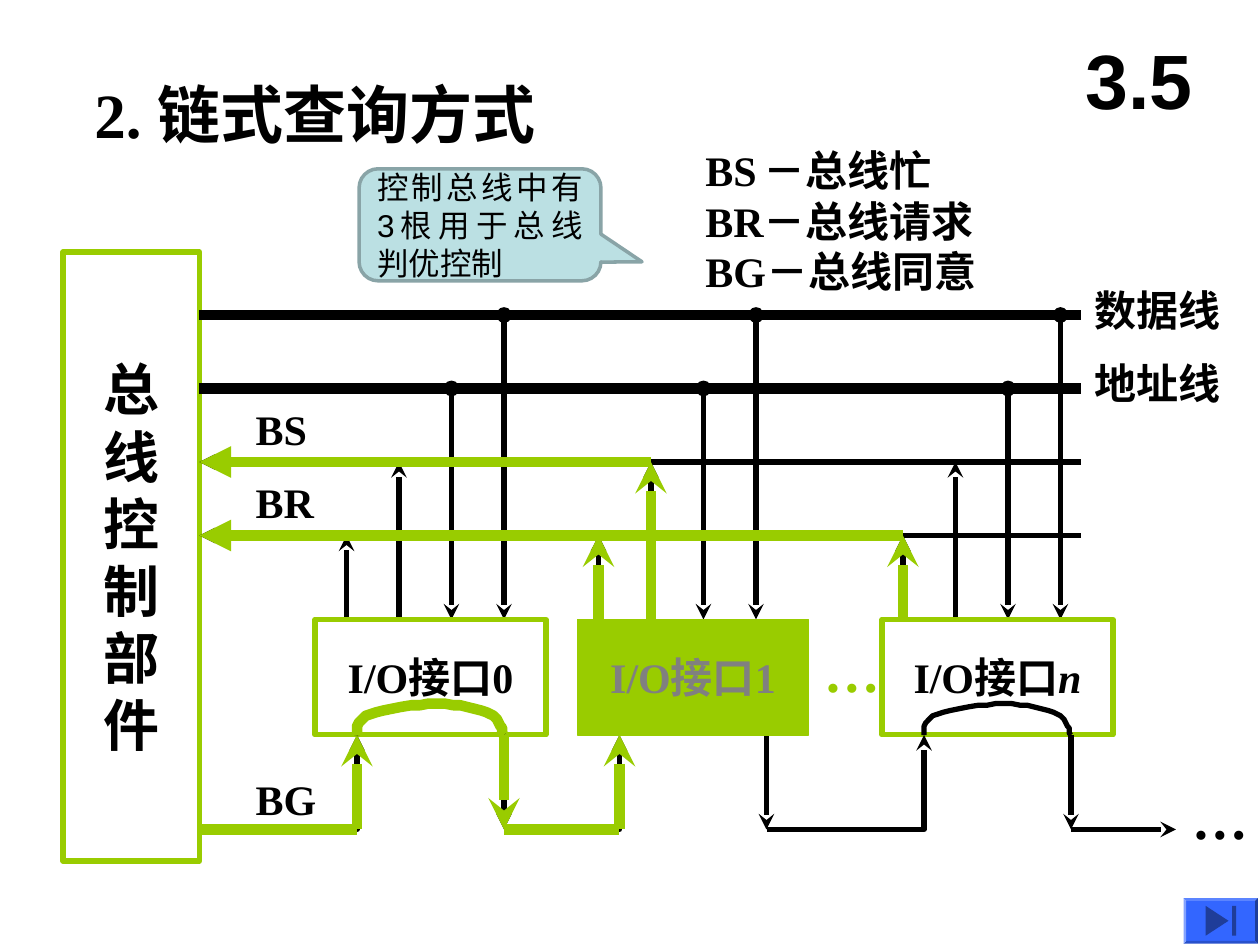
"""Build a slide that explains chained-query bus arbitration."""
import pptx
import pptx.dml.color
import pptx.enum.dml
import pptx.enum.shapes
import pptx.enum.text
import pptx.oxml
import pptx.oxml.ns
import pptx.util

Pt = pptx.util.Pt
RGBColor = pptx.dml.color.RGBColor
SHAPES = pptx.enum.shapes.MSO_SHAPE
ALIGN = pptx.enum.text.PP_ALIGN
ANCHOR = pptx.enum.text.MSO_ANCHOR

BLACK = RGBColor(0x00, 0x00, 0x00)
GREEN = RGBColor(0x99, 0xCC, 0x00)
GRAY = RGBColor(0x80, 0x80, 0x80)
CALLOUT_FILL = RGBColor(0xBB, 0xE0, 0xE3)
CALLOUT_LINE = RGBColor(0x89, 0xA4, 0xA7)
BUTTON_BLUE = RGBColor(0x33, 0x66, 0xFF)
BUTTON_DARK = RGBColor(0x1F, 0x3D, 0x99)

SERIF_BOLD = {"name": "Times New Roman", "bold": True}
BUS_LEFT, BUS_RIGHT = 114, 618
DATA_Y, ADDRESS_Y, BUSY_Y, REQUEST_Y = 180, 222, 264, 306
BOX_TOP, BOX_WIDTH, BOX_HEIGHT = 354, 132, 66
BOX_BOTTOM = BOX_TOP + BOX_HEIGHT
GRANT_Y = 474
BOX_LEFTS = (180, 330, 504)
SIGNAL_STARTS = (198, 342, 516)
SIGNAL_STEP = 30
GRANT_IN, GRANT_OUT = 24, 108
ARC_CURVES = (
    ((0, 18), (0, 13.5), (0, 9), (7.5, 6)),
    ((7.5, 6), (15.5, 3), (34.5, 0), (46, 0)),
    ((46, 0), (57.5, 0), (70.5, 3), (76.5, 6)),
    ((76.5, 6), (82.5, 9), (82.5, 16.5), (84, 18)),
)


def set_attributes(target, values):
    """Set every attribute named in a dict of format values."""
    for name, value in values.items():
        setattr(target, name, value)


def write_text(shape, paragraphs, size, color=BLACK, font=SERIF_BOLD, align=ALIGN.LEFT,
               anchor=ANCHOR.TOP, wrap=False):
    """Fill a shape with paragraphs, each a list of (text, overrides) runs."""
    frame = shape.text_frame
    set_attributes(frame, {
        "word_wrap": wrap, "vertical_anchor": anchor,
        "margin_left": Pt(7.2), "margin_right": Pt(7.2),
        "margin_top": Pt(3.6), "margin_bottom": Pt(3.6)})
    for index, runs in enumerate(paragraphs):
        paragraph = frame.add_paragraph() if index else frame.paragraphs[0]
        paragraph.alignment = align
        for text, overrides in runs:
            run = paragraph.add_run()
            run.text = text
            set_attributes(run.font, {"size": Pt(size), **font, **overrides})
            run.font.color.rgb = color


def add_label(slide, box, lines, size, **options):
    """Add a text box with one paragraph per line."""
    shape = slide.shapes.add_textbox(*map(Pt, box))
    paragraphs = [[(line, {})] if isinstance(line, str) else line for line in lines]
    write_text(shape, paragraphs, size, **options)


def add_block(slide, kind, box, fill=None, line=None, width=3):
    """Add a preset shape with the given fill and outline."""
    shape = slide.shapes.add_shape(kind, *map(Pt, box))
    paint(shape, fill, line, width)
    return shape


def paint(shape, fill, line, width):
    """Set the fill and outline of a shape and drop its shadow."""
    shape.shadow.inherit = False
    for target, color in ((shape.fill, fill), (shape.line.fill, line)):
        if color is None:
            target.background()
        else:
            target.solid()
            target.fore_color.rgb = color
    if line is not None:
        shape.line.width = Pt(width)


def add_line_ends(shape, head, tail):
    """Put line ends on the start and the finish of a line."""
    line = shape.line._get_or_add_ln()
    for tag, kind in (("a:headEnd", head), ("a:tailEnd", tail)):
        if kind:
            pptx.oxml.ns.qn(tag)
            end = pptx.oxml.parse_xml(
                f'<{tag} {pptx.oxml.ns.nsdecls("a")} type="{kind}"/>')
            line.append(end)


def add_wire(slide, start, finish, color=BLACK, width=3, head=None, tail=None):
    """Add a straight signal line between two points."""
    wire = slide.shapes.add_connector(
        pptx.enum.shapes.MSO_CONNECTOR.STRAIGHT, *map(Pt, (*start, *finish)))
    wire.line.color.rgb = color
    wire.line.width = Pt(width)
    add_line_ends(wire, head, tail)
    wire._element.spPr.append(
        pptx.oxml.parse_xml(f'<a:effectLst {pptx.oxml.ns.nsdecls("a")}/>'))


def add_route(slide, points, color=BLACK, width=3, tail=None):
    """Add an open outline through the points."""
    builder = slide.shapes.build_freeform(*points[0], scale=Pt(1))
    builder.add_line_segments(points[1:], close=False)
    route = builder.convert_to_shape()
    paint(route, None, color, width)
    add_line_ends(route, None, tail)


def curve_point(curve, t):
    """Return the point of a cubic curve at parameter t."""
    weights = ((1 - t) ** 3, 3 * t * (1 - t) ** 2, 3 * t ** 2 * (1 - t), t ** 3)
    return tuple(sum(w * p[axis] for w, p in zip(weights, curve)) for axis in (0, 1))


def add_arc(slide, left, color=BLACK, width=3):
    """Add the grant pass-through arc at the bottom of an interface."""
    points = [ARC_CURVES[0][0]]
    points += [curve_point(curve, step / 8) for curve in ARC_CURVES for step in range(1, 9)]
    add_route(slide, [(left + x, BOX_BOTTOM - 18 + y) for x, y in points], color, width)


def add_interface(slide, left, runs, fill=None, color=BLACK, width=3):
    """Add an input/output interface box."""
    box = add_block(slide, SHAPES.RECTANGLE, (left, BOX_TOP, BOX_WIDTH, BOX_HEIGHT),
                    fill, GREEN, width)
    write_text(box, [runs], 24, color, align=ALIGN.CENTER, anchor=ANCHOR.MIDDLE)


def add_buses(slide):
    """Add the four horizontal bus lines and their interface signals."""
    for y, width, head in ((DATA_Y, 6, None), (ADDRESS_Y, 6, None),
                           (BUSY_Y, 3, "stealth"), (REQUEST_Y, 3, "stealth")):
        add_wire(slide, (BUS_LEFT, y), (BUS_RIGHT, y), width=width, head=head)
    for start in SIGNAL_STARTS:
        for index, y in enumerate((REQUEST_Y, BUSY_Y, ADDRESS_Y, DATA_Y)):
            x = start + index * SIGNAL_STEP
            if y in (REQUEST_Y, BUSY_Y):
                add_wire(slide, (x, BOX_TOP), (x, y), tail="stealth")
            else:
                add_wire(slide, (x, y), (x, BOX_TOP), head="oval", tail="stealth")


def add_grant_chain(slide):
    """Add the black grant chain through the interfaces."""
    sources = [BUS_LEFT] + [left + GRANT_OUT for left in BOX_LEFTS]
    for source, left in zip(sources, BOX_LEFTS):
        target = left + GRANT_IN
        add_route(slide, [(source, GRANT_Y), (target, GRANT_Y), (target, BOX_BOTTOM)],
                  tail="stealth")
    for x in sources[1:]:
        add_wire(slide, (x, BOX_BOTTOM), (x, GRANT_Y), tail="stealth")
    add_wire(slide, (sources[-1], GRANT_Y), (672, GRANT_Y), tail="stealth")
    for left in (BOX_LEFTS[0], BOX_LEFTS[2]):
        add_arc(slide, left + GRANT_IN)


def add_active_path(slide):
    """Add the green lines of the active request, grant and busy signals."""
    first_in, first_out = BOX_LEFTS[0] + GRANT_IN, BOX_LEFTS[0] + GRANT_OUT
    second_in = BOX_LEFTS[1] + GRANT_IN
    busy_x = SIGNAL_STARTS[1] + SIGNAL_STEP
    for start, finish, tail in (
            ((busy_x, BUSY_Y), (BUS_LEFT, BUSY_Y), "triangle"),
            ((SIGNAL_STARTS[2], REQUEST_Y), (BUS_LEFT, REQUEST_Y), "triangle"),
            ((SIGNAL_STARTS[1], BOX_TOP), (SIGNAL_STARTS[1], REQUEST_Y), "stealth"),
            ((SIGNAL_STARTS[2], BOX_TOP), (SIGNAL_STARTS[2], REQUEST_Y), "stealth"),
            ((first_in, GRANT_Y), (first_in, BOX_BOTTOM), "stealth"),
            ((BUS_LEFT, GRANT_Y), (first_in, GRANT_Y), None),
            ((first_out, BOX_BOTTOM), (first_out, GRANT_Y), "stealth"),
            ((first_out, GRANT_Y), (second_in, GRANT_Y), None),
            ((second_in, GRANT_Y), (second_in, BOX_BOTTOM), "stealth"),
            ((busy_x, BOX_TOP), (busy_x, BUSY_Y), "stealth")):
        add_wire(slide, start, finish, GREEN, 6, tail=tail)
    add_arc(slide, first_in, GREEN, 6)


def add_labels(slide):
    """Add the heading, legend and signal names."""
    add_label(slide, (46.8, 39.6, 347, 50.4), ["2. 链式查询方式"], 36, wrap=True)
    add_label(slide, (606, 12, 90, 66), ["3.5"], 44, font={"name": "Arial", "bold": True},
              align=ALIGN.CENTER, anchor=ANCHOR.MIDDLE, wrap=True)
    legend = [[("BS", {}), (" ", {"size": Pt(16)}), ("－总线忙", {})],
              "BR－总线请求", "BG－总线同意"]
    add_label(slide, (396, 79.2, 214, 93.6), legend, 24, wrap=True)
    for text, left, top, width in (("BS", 139, 227, 44), ("BR", 139, 269, 48),
                                   ("BG", 139, 438.5, 49),
                                   ("数据线", 618.5, 159, 86.4), ("地址线", 618.5, 201, 86.4)):
        add_label(slide, (left, top, width, 36), [text], 24)
    add_label(slide, (463.7, 360, 46, 46), ["…"], 32, color=GREEN)
    add_label(slide, (674, 444.2, 46, 46), ["…"], 32)


def add_callout(slide):
    """Add the remark about the three arbitration lines."""
    callout = add_block(slide, SHAPES.ROUNDED_RECTANGULAR_CALLOUT, (205.2, 96.5, 138.2, 64),
                        CALLOUT_FILL, CALLOUT_LINE, 2)
    for index, value in enumerate((0.67, 0.33, 0.17)):
        callout.adjustments[index] = value
    write_text(callout, [[("控制总线中有3根用于总线判优控制", {})]], 18,
               font={"name": "Arial"}, align=ALIGN.JUSTIFY, anchor=ANCHOR.MIDDLE, wrap=True)


def add_end_button(slide):
    """Add the bevelled jump-to-end button."""
    button = add_block(slide, SHAPES.BEVEL, (676.3, 513.2, 42.5, 26), BUTTON_BLUE)
    button.adjustments[0] = 0.06
    triangle = add_block(slide, SHAPES.ISOSCELES_TRIANGLE, (687, 519.7, 17, 13), BUTTON_DARK)
    triangle.rotation = 90
    add_block(slide, SHAPES.RECTANGLE, (704, 517.7, 2.4, 17), BUTTON_DARK)


def main():
    """Build and save the slide."""
    presentation = pptx.Presentation()
    set_attributes(presentation, {"slide_width": Pt(720), "slide_height": Pt(540)})
    slide = presentation.slides.add_slide(presentation.slide_layouts[6])
    controller = add_block(slide, SHAPES.RECTANGLE, (36, 144, 78, 348), line=GREEN)
    write_text(controller, [[(character, {})] for character in "总线控制部件"], 32,
               align=ALIGN.CENTER, anchor=ANCHOR.MIDDLE)
    add_buses(slide)
    add_interface(slide, BOX_LEFTS[0], [("I/O接口0", {})])
    add_interface(slide, BOX_LEFTS[2], [("I/O接口", {}), ("n", {"italic": True})])
    add_grant_chain(slide)
    add_active_path(slide)
    add_interface(slide, BOX_LEFTS[1], [("I/O接口1", {})], GREEN, GRAY, 0.75)
    add_labels(slide)
    add_callout(slide)
    add_end_button(slide)
    presentation.save("out.pptx")


if __name__ == "__main__":
    main()
